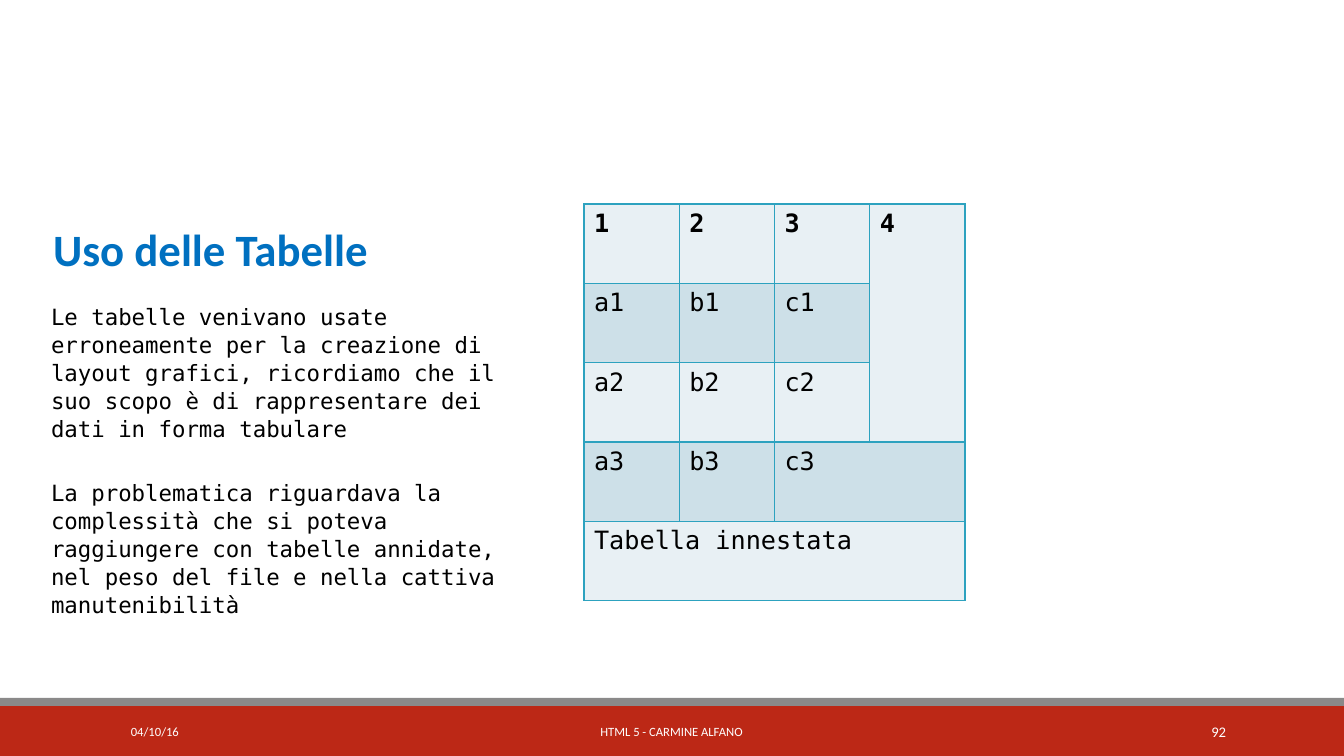
from dataclasses import dataclass

from lxml.etree import SubElement
from pptx import Presentation
from pptx.dml.color import RGBColor
from pptx.enum.shapes import MSO_SHAPE
from pptx.enum.text import MSO_ANCHOR, MSO_AUTO_SIZE, PP_ALIGN
from pptx.oxml.ns import qn
from pptx.util import Pt

EMU_PER_PX = 914400 / 100.8


@dataclass(frozen=True)
class Theme:
    heading_font: str = "Calibri"
    mono_font: str = "DejaVu Sans Mono"
    title_size: float = 32
    body_size: float = 16
    table_size: float = 18
    footer_size: float = 9
    number_size: float = 10.5
    title: str = "0070C0"
    text: str = "000000"
    white: str = "FFFFFF"
    red: str = "BC2816"
    grey: str = "8A8989"
    border: str = "2DA2BF"
    bands: tuple = ("E8F0F4", "CDE0E8")


THEME = Theme()

PARAGRAPHS = [
    "Le tabelle venivano usate erroneamente per la creazione di layout grafici, "
    "ricordiamo che il suo scopo è di rappresentare dei dati in forma tabulare",
    "La problematica riguardava la complessità che si poteva raggiungere con "
    "tabelle annidate, nel peso del file e nella cattiva manutenibilità",
]
ROWS = [
    ["1", "2", "3", "4"],
    ["a1", "b1", "c1"],
    ["a2", "b2", "c2"],
    ["a3", "b3", "c3"],
    ["Tabella innestata"],
]
# First and last (row, column) of each merged area
MERGES = [((0, 3), (2, 3)), ((3, 2), (3, 3)), ((4, 0), (4, 3))]


def px(length):
    return round(length * EMU_PER_PX)


def place(shape, box):
    shape.left, shape.top, shape.width, shape.height = map(px, box)


def style(para, font, size, color, bold=False):
    para.font.name = font
    para.font.size = Pt(size)
    para.font.bold = bold
    para.font.color.rgb = RGBColor.from_string(color)


def add_title(page, box):
    title = page.shapes.title
    place(title, box)
    frame = title.text_frame
    frame.text = "Uso delle Tabelle"
    frame.word_wrap = True
    frame.auto_size = MSO_AUTO_SIZE.NONE
    frame.vertical_anchor = MSO_ANCHOR.BOTTOM
    para = frame.paragraphs[0]
    para.alignment = PP_ALIGN.LEFT
    style(para, THEME.heading_font, THEME.title_size, THEME.title, True)


def add_body(page, box):
    body = page.placeholders[1]
    place(body, box)
    frame = body.text_frame
    frame.text = "\n".join(PARAGRAPHS)
    frame.word_wrap = True
    frame.auto_size = MSO_AUTO_SIZE.NONE
    for index, para in enumerate(frame.paragraphs):
        para.line_spacing = 1.04
        para.space_before = Pt(26 if index else 0)
        properties = para._p.get_or_add_pPr()
        properties.set("marL", "0")
        properties.set("indent", "0")
        SubElement(properties, qn("a:buNone"))
        style(para, THEME.mono_font, THEME.body_size, THEME.text)


def add_borders(cell):
    properties = cell._tc.get_or_add_tcPr()
    for side in ("lnL", "lnR", "lnT", "lnB"):
        line = SubElement(properties, qn(f"a:{side}"), w=str(Pt(1)))
        fill = SubElement(line, qn("a:solidFill"))
        SubElement(fill, qn("a:srgbClr"), val=THEME.border)


def add_cells_table(page, box):
    row_count, column_count = len(ROWS), len(ROWS[0])
    table = page.shapes.add_table(row_count, column_count, *map(px, box)).table
    table.first_row = table.horz_banding = False
    for column in table.columns:
        column.width = px(box[2] / column_count)
    for row_index, row in enumerate(table.rows):
        row.height = px(box[3] / row_count)
        for cell in row.cells:
            add_borders(cell)
            cell.fill.solid()
            cell.fill.fore_color.rgb = RGBColor.from_string(THEME.bands[row_index % 2])
    for first, last in MERGES:
        table.cell(*first).merge(table.cell(*last))
    for row_index, texts in enumerate(ROWS):
        for column_index, text in enumerate(texts):
            cell = table.cell(row_index, column_index)
            cell.text = text
            style(cell.text_frame.paragraphs[0], THEME.mono_font,
                  THEME.table_size, THEME.text, row_index == 0)


def add_bar(page, box, color):
    bar = page.shapes.add_shape(MSO_SHAPE.RECTANGLE, *map(px, box))
    bar.shadow.inherit = False
    bar.fill.solid()
    bar.fill.fore_color.rgb = RGBColor.from_string(color)
    bar.line.fill.background()


def add_footer(page, box):
    left, top, width, height = box
    strip = 8
    add_bar(page, (left, top + strip, width, height - strip), THEME.red)
    add_bar(page, (left, top, width, strip), THEME.grey)
    # Date, footer and page number
    labels = [
        ("04/10/16", 121, 272, PP_ALIGN.LEFT, THEME.footer_size),
        ("HTML 5 - CARMINE ALFANO", 406, 531, PP_ALIGN.CENTER, THEME.footer_size),
        ("92", 1092, 144, PP_ALIGN.RIGHT, THEME.number_size),
    ]
    for text, offset, label_width, alignment, size in labels:
        label = page.shapes.add_textbox(
            *map(px, (left + offset, top + 14, label_width, 40)))
        frame = label.text_frame
        frame.text = text
        frame.word_wrap = True
        frame.vertical_anchor = MSO_ANCHOR.MIDDLE
        para = frame.paragraphs[0]
        para.alignment = alignment
        style(para, THEME.heading_font, size, THEME.white)


def main():
    deck = Presentation()
    deck.slide_width, deck.slide_height = px(1344), px(756)
    page = deck.slides.add_slide(deck.slide_layouts[1])
    add_footer(page, (0, 698, 1344, 58))
    add_body(page, (41, 297, 501, 349))
    add_title(page, (43, 156, 500, 125))
    add_cells_table(page, (584, 204, 381, 397))
    deck.save("out.pptx")


if __name__ == "__main__":
    main()
